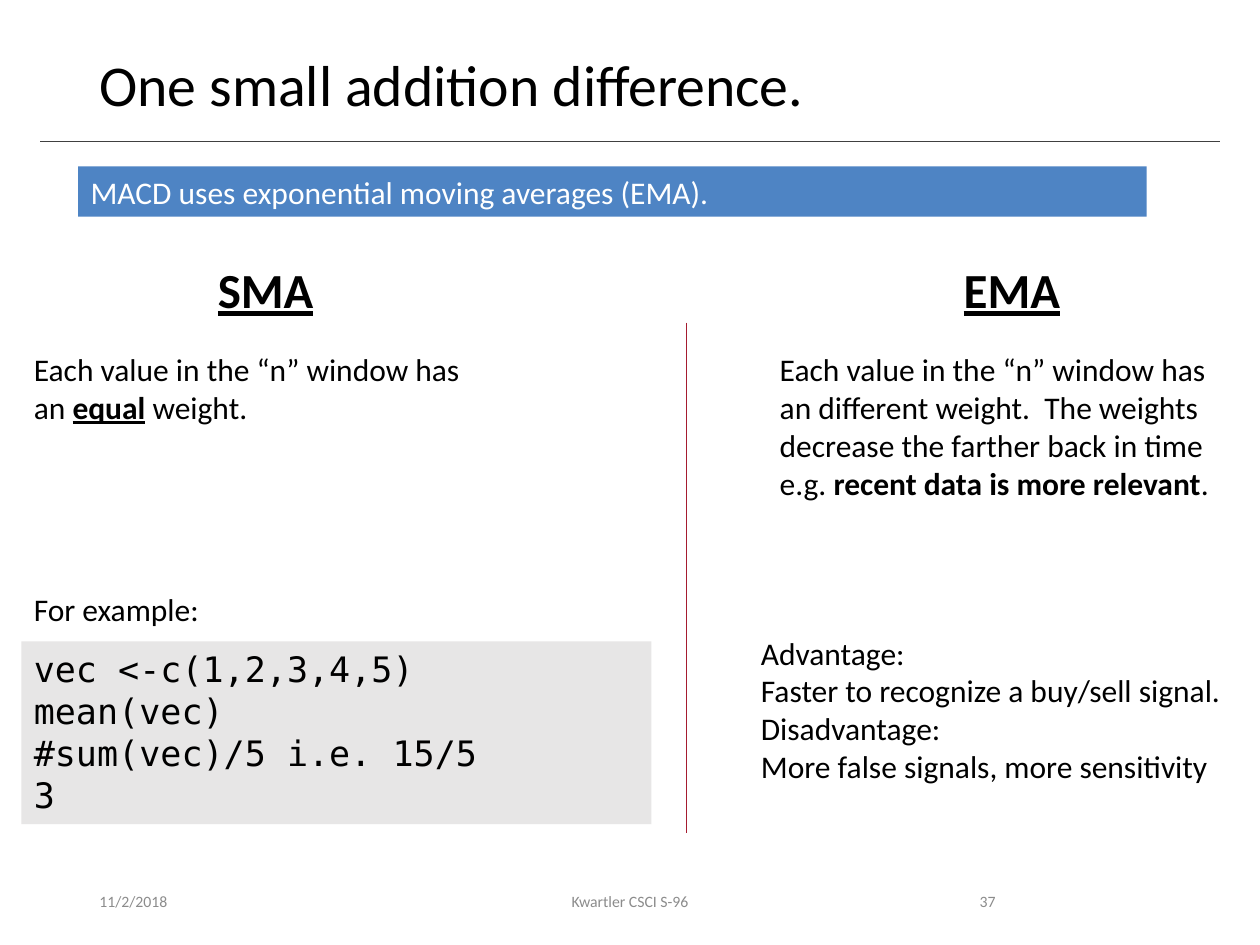
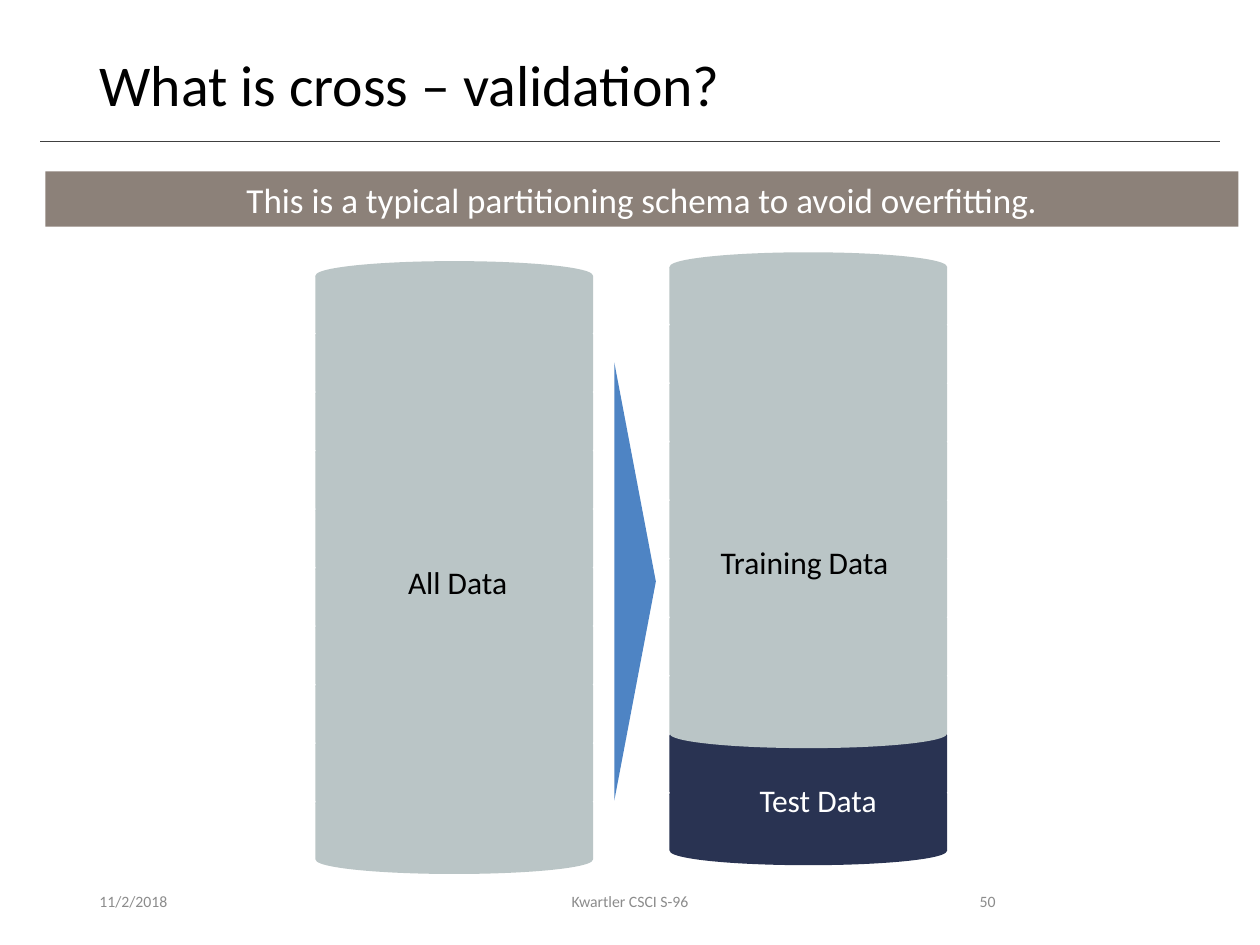
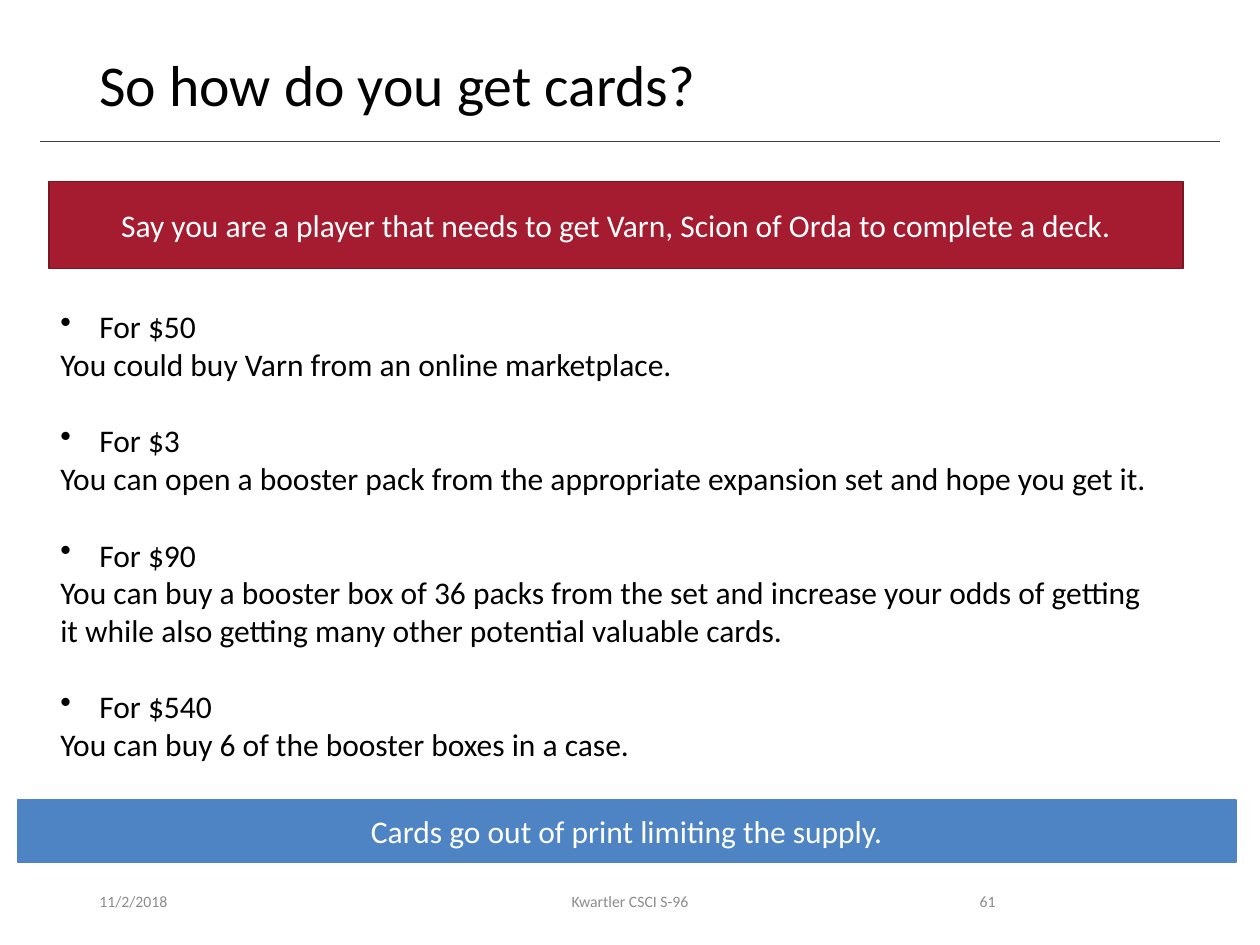
from pptx import Presentation
from pptx.dml.color import RGBColor
from pptx.enum.shapes import MSO_CONNECTOR as Connector, MSO_SHAPE as Shape
from pptx.enum.text import MSO_ANCHOR as Anchor, PP_ALIGN as Align
from pptx.oxml.ns import qn
from pptx.util import Inches, Pt
from lxml.etree import SubElement

FONT, CODE_FONT = "Calibri", "DejaVu Sans Mono"
COLORS = {
    "black": "000000", "white": "FFFFFF", "muted": "8C8C8C", "rule": "404040",
    "crimson": "A51C30", "crimson_edge": "7A1524", "blue": "4E84C4",
    "taupe": "8C8179", "code": "E7E6E6", "train": "BAC5C6", "test": "293352",
}
DATE, COURSE = "11/2/2018", "Kwartler CSCI S-96"
STRONG = {"bold": True}
STRONG_LINE = {"bold": True, "underline": True}


def rgb(name):
    return RGBColor.from_string(COLORS[name])


# --- Shared building parts ---
def write(frame, paras, size=18, color="black", font=FONT, align=Align.LEFT,
          anchor=Anchor.TOP, wrap=True):
    """Fill a frame; a paragraph is a string or a list of (text, style) spans."""
    frame.word_wrap = wrap
    frame.vertical_anchor = anchor
    for index, spans in enumerate(paras):
        para = frame.paragraphs[0] if index == 0 else frame.add_paragraph()
        para.alignment = align
        para.font.size, para.font.name = Pt(size), font
        para.font.color.rgb = rgb(color)
        for text, style in [(spans, {})] if isinstance(spans, str) else spans:
            span = para.add_run()
            span.text = text
            for key, value in style.items():
                setattr(span.font, key, value)
    return frame


def add_text(page, box, paras, **style):
    frame = page.shapes.add_textbox(*map(Inches, box)).text_frame
    return write(frame, paras, **style)


def add_block(page, kind, box, fill, edge=None):
    block = page.shapes.add_shape(kind, *map(Inches, box))
    block.shadow.inherit = False
    block.fill.solid()
    block.fill.fore_color.rgb = rgb(fill)
    if edge:
        block.line.color.rgb = rgb(edge)
        block.line.width = Pt(1)
    else:
        block.line.fill.background()
    return block


def add_band(page, box, text, fill, edge=None, size=18, align=Align.CENTER):
    band = add_block(page, Shape.RECTANGLE, box, fill, edge)
    write(band.text_frame, [text], size, "white", align=align, anchor=Anchor.MIDDLE)


def add_line(page, start, end, color):
    line = page.shapes.add_connector(Connector.STRAIGHT, *map(Inches, start + end))
    line.line.color.rgb = rgb(color)
    line.line.width = Pt(0.5)
    SubElement(line._element.spPr, qn("a:effectLst"))


def add_page(deck, title, number):
    page = deck.slides.add_slide(deck.slide_layouts[6])
    add_line(page, (0.32, 1.12), (9.68, 1.12), "rule")
    frame = add_text(page, (0.69, 0.4, 8.62, 0.65), [title], size=33)
    frame.paragraphs[0].line_spacing = 0.9
    footers = [(0.69, 2.25, DATE, Align.LEFT), (3.31, 3.38, COURSE, Align.CENTER),
               (7.06, 0.94, str(number), Align.RIGHT)]
    for left, width, text, align in footers:
        add_text(page, (left, 6.95, width, 0.4), [text], size=9, color="muted",
                 align=align, anchor=Anchor.MIDDLE)
    return page


# --- Moving averages ---
def add_average(page, box, heading, meaning):
    left, top, width, height = box
    add_text(page, (left + 1.46, top, 0.98, 0.57), [[(heading, STRONG_LINE)]],
             size=28, wrap=False)
    add_text(page, (left, top + 0.72, width, height - 0.72), [meaning])


def add_code_example(page, box, label, lines):
    left, top, width, height = box
    add_text(page, (left, top, 1.53, 0.4), [label], wrap=False)
    code = add_block(page, Shape.RECTANGLE, (left, top + 0.46, width, height - 0.46), "code")
    write(code.text_frame, lines, size=20, font=CODE_FONT)


def build_averages(deck):
    page = add_page(deck, "One small addition difference.", 37)
    add_band(page, (0.62, 1.32, 8.48, 0.4),
             "MACD uses exponential moving averages (EMA).", "blue", align=Align.LEFT)
    add_average(page, (0.17, 2.01, 3.63, 1.43), "SMA",
                [("Each value in the “n” window has an ", {}), ("equal", STRONG_LINE),
                 (" weight.", {})])
    add_average(page, (6.09, 2.01, 3.63, 2.03), "EMA",
                [("Each value in the “n” window has an different weight.  The weights "
                  "decrease the farther back in time e.g. ", {}),
                 ("recent data is more relevant", STRONG), (".", {})])
    add_code_example(page, (0.17, 4.63, 5, 1.91), "For example:",
                     ["vec <-c(1,2,3,4,5)", "mean(vec)", "#sum(vec)/5 i.e. 15/5", "3"])
    add_text(page, (5.94, 4.98, 3.91, 1.31),
             ["Advantage:", "Faster to recognize a buy/sell signal.",
              "Disadvantage:", "More false signals, more sensitivity"], wrap=False)
    add_line(page, (5.45, 2.56), (5.45, 6.61), "crimson")


# --- Cross-validation ---
def add_disk_stack(page, box, colors):
    """Stack disks from the bottom up, one for each colour."""
    left, top, width, height = box
    disk = 0.67
    step = (height - disk) / (len(colors) - 1)
    for level, color in enumerate(colors):
        disk_top = top + height - disk - level * step
        add_block(page, Shape.FLOWCHART_MAGNETIC_DISK,
                  (left, disk_top, width, disk), color, color)


def build_validation(deck):
    page = add_page(deck, "What is cross – validation?", 50)
    add_band(page, (0.36, 1.36, 9.47, 0.44),
             "This is a typical partitioning schema to avoid overfitting.", "taupe", size=20)
    add_disk_stack(page, (2.51, 2.08, 2.19, 4.85), ["train"] * 10)
    arrow = add_block(page, Shape.ISOSCELES_TRIANGLE, (3.3, 4.45, 3.48, 0.33), "blue")
    arrow.rotation = 90
    add_disk_stack(page, (5.32, 2.01, 2.19, 4.85), ["test"] * 2 + ["train"] * 8)
    labels = [((3.14, 4.42, 1, 0.4), "All Data", "black"),
              ((5.62, 4.26, 1.61, 0.4), "Training Data", "black"),
              ((5.93, 6.15, 1.14, 0.4), "Test Data", "white")]
    for box, text, color in labels:
        add_text(page, box, [text], color=color, wrap=False)


# --- Getting cards ---
def add_bullet(para, indent=0.31):
    props = para._p.get_or_add_pPr()
    props.set("marL", str(Inches(indent)))
    props.set("indent", str(Inches(-indent)))
    bullet = props.makeelement(qn("a:buChar"), {"char": "•"})
    props.find(qn("a:defRPr")).addprevious(bullet)


def add_offers(page, box, offers):
    frame = add_text(page, box, [text for offer in offers for text in offer])
    for index, para in enumerate(frame.paragraphs[::2]):
        if index:
            para.space_before = Pt(22)
        add_bullet(para)


def build_cards(deck):
    page = add_page(deck, "So how do you get cards?", 61)
    add_band(page, (0.39, 1.44, 9, 0.69),
             "Say you are a player that needs to get Varn, Scion of Orda to complete a deck.",
             "crimson", "crimson_edge")
    add_offers(page, (0.38, 2.39, 8.91, 3.74), [
        ("For $50", "You could buy Varn from an online marketplace."),
        ("For $3", "You can open a booster pack from the appropriate expansion set "
                   "and hope you get it."),
        ("For $90", "You can buy a booster box of 36 packs from the set and increase your "
                    "odds of getting it while also getting many other potential valuable cards."),
        ("For $540", "You can buy 6 of the booster boxes in a case."),
    ])
    add_band(page, (0.14, 6.35, 9.67, 0.49),
             "Cards go out of print limiting the supply.", "blue", "blue")


def main():
    deck = Presentation()
    deck.slide_width, deck.slide_height = Inches(10), Inches(7.5)
    for build in (build_averages, build_validation, build_cards):
        build(deck)
    deck.save("out.pptx")


if __name__ == "__main__":
    main()
